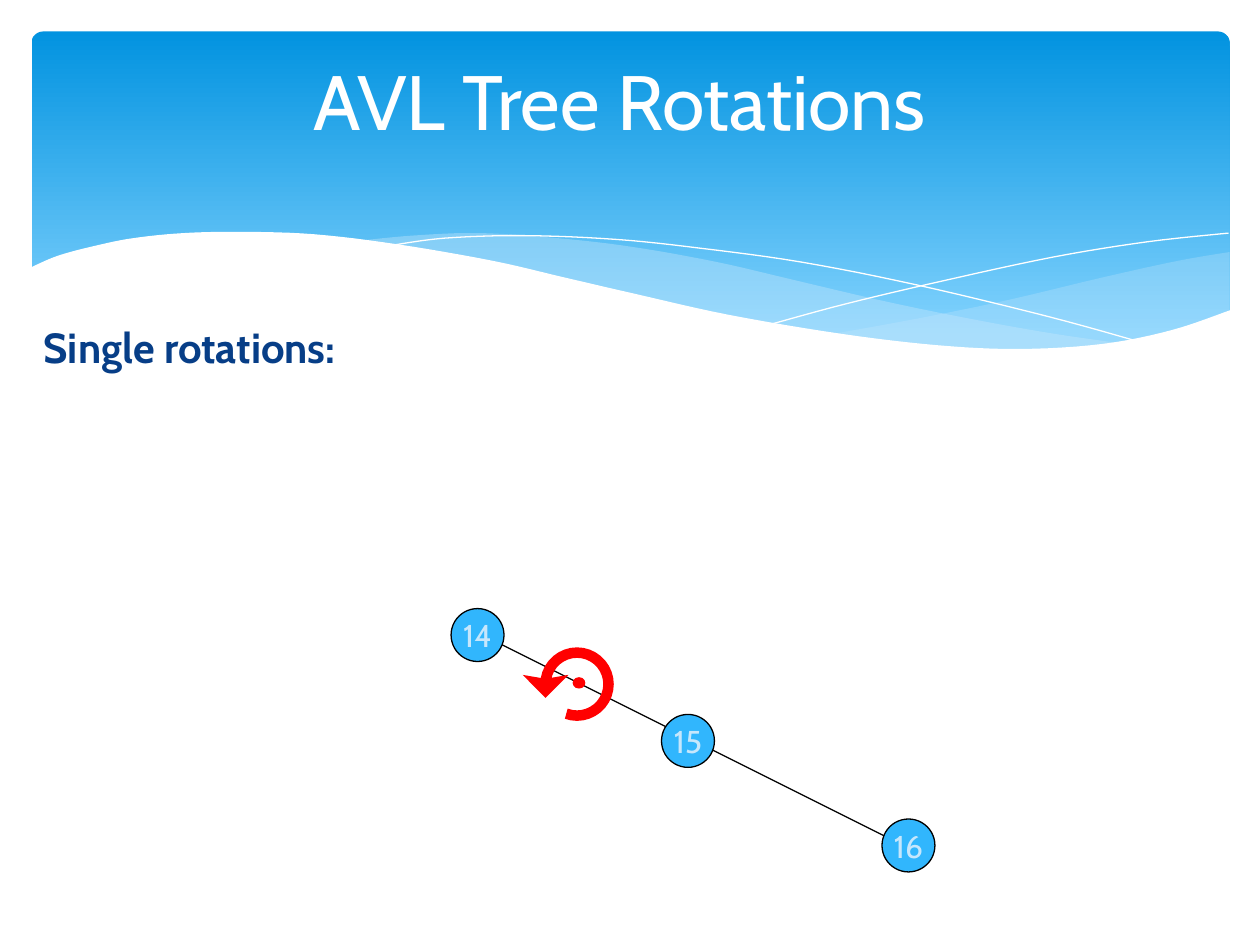
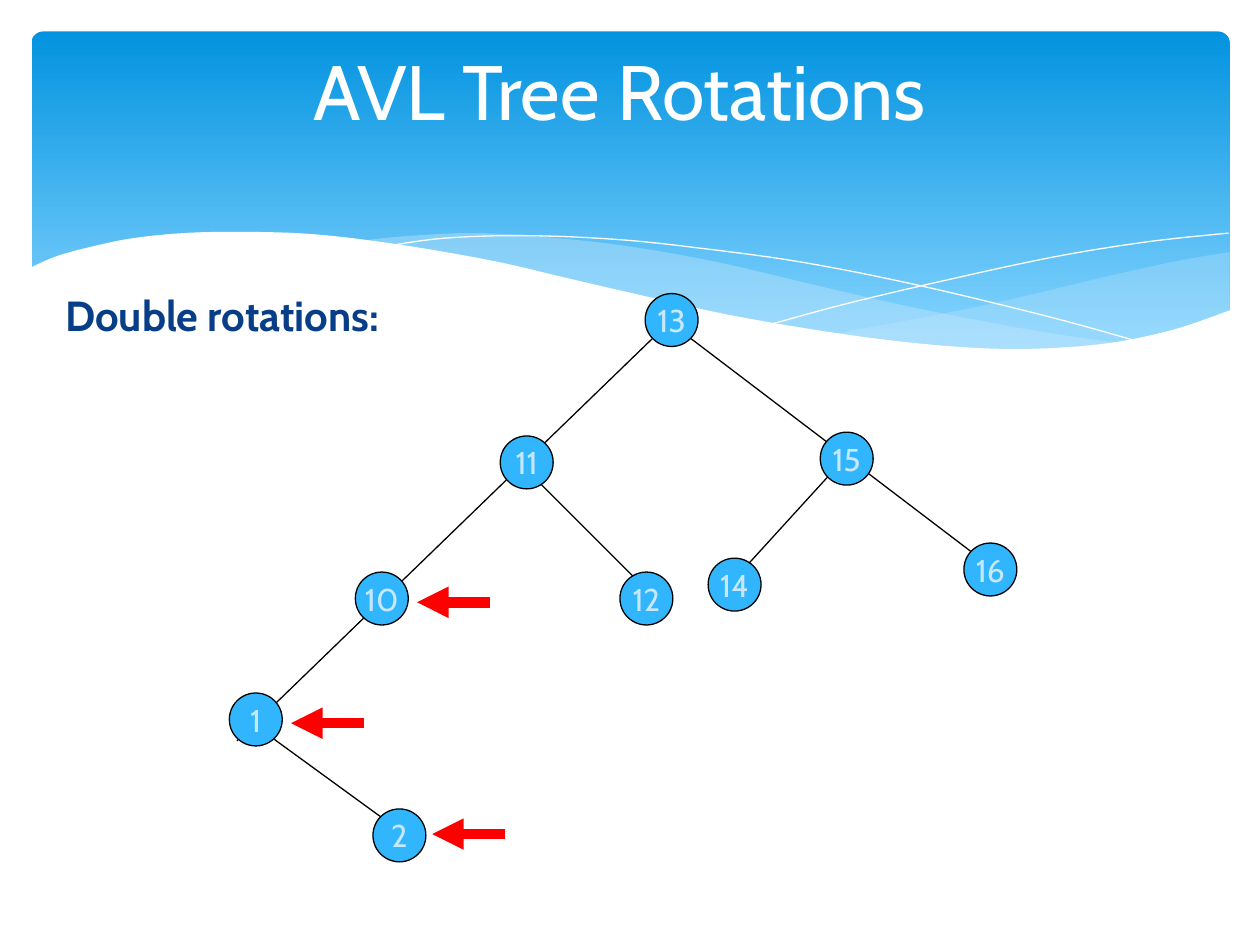
from dataclasses import dataclass
from math import cos, radians, sin

from lxml.etree import SubElement
from pptx import Presentation
from pptx.dml.color import RGBColor
from pptx.enum.shapes import MSO_CONNECTOR as Connector, MSO_SHAPE as Preset
from pptx.enum.text import MSO_ANCHOR as Anchor, MSO_AUTO_SIZE as AutoSize, PP_ALIGN as Align
from pptx.oxml.ns import qn
from pptx.util import Emu, Pt

EMU_PER_PX = 9144  # 100 px to the inch
FONT = "Cabin"
WHITE, BLACK, RED = "FFFFFF", "000000", "FF0000"
BAND_TOP, BAND_BOTTOM = "0293E0", "83D3FE"
NODE_BLUE, PALE_BLUE, NAVY = "31B6FD", "C6E7FC", "073E87"
NODE_SIZE = 42
POINTER_LENGTH = 58

Point = tuple[float, float]


@dataclass(frozen=True)
class Node:
    key: int
    left: int
    top: int


@dataclass(frozen=True)
class Edge:
    start: Point
    end: Point


@dataclass(frozen=True)
class Wave:
    """Curved edges joined end to end; closed when it has a fill."""
    edges: tuple[tuple[Point, ...], ...]
    fill: str | None = None
    opacity: int = 100


VEIL_RIGHT = Wave((
    ((976, 200), (935, 207), (876, 220), (805, 237), (753, 248), (706, 257), (661, 265)),
    ((661, 265), (705, 271), (757, 276), (803, 278), (854, 276), (897, 270), (935, 262),
     (976, 247)),
), PALE_BLUE, 29)
VEIL_MIDDLE = Wave((
    ((286, 191), (328, 187), (380, 185), (442, 189), (502, 196), (569, 208), (629, 222),
     (706, 240), (775, 254), (837, 265), (893, 273)),
    ((893, 273), (838, 277), (773, 277), (709, 272), (634, 261), (566, 248), (491, 232),
     (427, 216), (383, 207), (342, 199), (286, 191)),
), PALE_BLUE, 40)
FALLING_LINE = Wave((
    ((309, 195), (353, 189), (416, 187), (489, 190), (556, 197), (636, 208), (727, 226),
     (831, 251), (907, 272)),
))
RISING_LINE = Wave((
    ((613, 257), (672, 241), (748, 223), (836, 204), (910, 192), (975, 185)),
))
WHITE_FRONT = Wave((
    ((977, 246), (930, 262), (875, 273), (809, 277), (744, 274), (668, 265), (579, 250),
     (503, 233), (447, 220), (391, 207), (316, 194), (250, 186), (193, 184), (146, 185),
     (106, 189), (76, 195), (46, 203), (23, 213)),
    ((23, 329), (977, 329)),
), WHITE)
WAVES = (VEIL_RIGHT, VEIL_MIDDLE, FALLING_LINE, RISING_LINE, WHITE_FRONT)

SINGLE_EDGES = (Edge((375, 500), (725, 675)),)
SINGLE_NODES = (Node(14, 358, 483), Node(15, 525, 567), Node(16, 700, 650))

DOUBLE_EDGES = (
    Edge((419, 374), (519, 474)),
    Edge((196, 571), (321, 662)),
    Edge((672, 362), (589, 453)),
    Edge((188, 588), (533, 254)),
    Edge((529, 254), (771, 438)),
)
DOUBLE_NODES = (
    Node(13, 512, 233), Node(15, 651, 343), Node(16, 765, 431), Node(11, 397, 346),
    Node(14, 562, 443), Node(10, 282, 454), Node(1, 182, 550), Node(2, 296, 642),
    Node(12, 492, 454),
)
POINTER_TIPS = ((331, 478), (343, 662), (231, 574))


def px(length: float) -> Emu:
    return Emu(round(length * EMU_PER_PX))


def rgb(color: str) -> RGBColor:
    return RGBColor.from_string(color)


def paint(shape, fill: str | None = None, line: str | None = None, width: float = 0.75) -> None:
    shape.shadow.inherit = False
    if fill:
        shape.fill.solid()
        shape.fill.fore_color.rgb = rgb(fill)
    else:
        shape.fill.background()
    if line:
        shape.line.color.rgb = rgb(line)
        shape.line.width = Pt(width)
    else:
        shape.line.fill.background()


def write(shape, text: str, *, size: int, color: str, bold: bool = False,
          align=Align.LEFT, anchor=Anchor.TOP, inset: bool = True, wrap: bool = True) -> None:
    frame = shape.text_frame
    frame.auto_size = AutoSize.NONE
    frame.word_wrap = wrap
    frame.vertical_anchor = anchor
    if not inset:
        frame.margin_left = frame.margin_right = frame.margin_top = frame.margin_bottom = 0
    para = frame.paragraphs[0]
    para.alignment = align
    span = para.add_run()
    span.text = text
    span.font.name = FONT
    span.font.size = Pt(size)
    span.font.bold = bold
    span.font.color.rgb = rgb(color)


def smooth(points: tuple[Point, ...], steps: int = 6) -> list[Point]:
    """Run a Catmull-Rom curve through the points; two points stay straight."""
    if len(points) == 2:
        return list(points)
    padded = (points[0], *points, points[-1])
    curve = [points[0]]
    for a, b, c, d in zip(padded, padded[1:], padded[2:], padded[3:]):
        for step in range(1, steps + 1):
            t = step / steps
            curve.append(tuple(
                0.5 * (2 * q + (r - p) * t + (2 * p - 5 * q + 4 * r - s) * t ** 2
                       + (3 * q - p - 3 * r + s) * t ** 3)
                for p, q, r, s in zip(a, b, c, d)))
    return curve


def add_outline(page, points: list[Point], close: bool):
    start, *rest = [(px(x), px(y)) for x, y in points]
    builder = page.shapes.build_freeform(*start, scale=1.0)
    builder.add_line_segments(rest, close=close)
    return builder.convert_to_shape()


def add_wave(page, wave: Wave):
    points = [point for edge in wave.edges for point in smooth(edge)]
    shape = add_outline(page, points, close=wave.fill is not None)
    paint(shape, wave.fill, None if wave.fill else WHITE, 0)
    if wave.opacity < 100:
        tint = shape.element.spPr.find(qn("a:solidFill"))[0]
        SubElement(tint, qn("a:alpha"), val=str(wave.opacity * 1000))
    return shape


def add_band(page):
    band = page.shapes.add_shape(Preset.ROUNDED_RECTANGLE, px(25), px(25), px(951), px(270))
    band.adjustments[0] = 0.034
    paint(band)
    band.fill.gradient()
    band.fill.gradient_angle = 270
    stops = zip(band.fill.gradient_stops, (BAND_TOP, BAND_BOTTOM), (0, 0.9))
    for stop, color, position in stops:
        stop.color.rgb = rgb(color)
        stop.position = position
    return band


def put_backdrop_on_layout(layout, page) -> None:
    """Draw the band and waves on a page, then move them to its layout."""
    for placeholder in list(layout.placeholders)[1:]:
        placeholder.element.getparent().remove(placeholder.element)
    backdrop = [add_band(page)] + [add_wave(page, wave) for wave in WAVES]
    for shape in backdrop:
        layout.shapes.element.append(shape.element)


def add_headings(page, title_height: int, subtitle: str, left: int, top: int) -> None:
    title = page.shapes.title
    title.left, title.top, title.width, title.height = px(67), px(17), px(850), px(title_height)
    write(title, "AVL Tree Rotations", size=44, color=WHITE,
          align=Align.CENTER, anchor=Anchor.MIDDLE)
    box = page.shapes.add_textbox(px(left), px(top), px(933), px(67))
    write(box, subtitle, size=24, color=NAVY, bold=True)


def add_line(page, edge: Edge, color: str = BLACK, width: float = 0.75, arrow: bool = False) -> None:
    line = page.shapes.add_connector(
        Connector.STRAIGHT, *(px(value) for value in (*edge.start, *edge.end)))
    line.line.color.rgb = rgb(color)
    line.line.width = Pt(width)
    properties = line.element.spPr
    if arrow:
        SubElement(properties.find(qn("a:ln")), qn("a:tailEnd"), type="triangle")
    SubElement(properties, qn("a:effectLst"))


def add_tree(page, nodes: tuple[Node, ...], edges: tuple[Edge, ...]) -> None:
    for edge in edges:
        add_line(page, edge)
    for node in nodes:
        circle = page.shapes.add_shape(
            Preset.OVAL, px(node.left), px(node.top), px(NODE_SIZE), px(NODE_SIZE))
        paint(circle, NODE_BLUE, BLACK)
        write(circle, str(node.key), size=18, color=PALE_BLUE, align=Align.CENTER,
              anchor=Anchor.MIDDLE, inset=False, wrap=False)


def add_rotation_mark(page) -> None:
    """Draw a counter-clockwise arrow around a pivot dot."""
    center_x, center_y, radius = 458, 543, 25
    arc = [(center_x + radius * cos(radians(angle)), center_y + radius * sin(radians(angle)))
           for angle in range(180, 471, 10)]
    head = [(427, 542), (433, 548), (439, 542)]
    arrow = add_outline(page, arc + arc[::-1] + head, close=True)
    paint(arrow, RED, RED, 6)
    SubElement(arrow.element.spPr.find(qn("a:ln")), qn("a:miter"), lim="800000")
    pivot = page.shapes.add_shape(Preset.OVAL, px(455), px(538), px(9), px(8))
    paint(pivot, RED, RED)


def main() -> None:
    deck = Presentation()
    deck.slide_width, deck.slide_height = px(1000), px(750)
    layout = deck.slide_layouts[5]

    page = deck.slides.add_slide(layout)
    put_backdrop_on_layout(layout, page)
    add_headings(page, 125, "Single rotations:", 25, 250)
    add_tree(page, SINGLE_NODES, SINGLE_EDGES)
    add_rotation_mark(page)

    page = deck.slides.add_slide(layout)
    add_headings(page, 108, "Double rotations:", 42, 225)
    add_tree(page, DOUBLE_NODES, DOUBLE_EDGES)
    for x, y in POINTER_TIPS:
        add_line(page, Edge((x + POINTER_LENGTH, y), (x, y)), RED, 6, arrow=True)

    deck.save("out.pptx")


if __name__ == "__main__":
    main()
